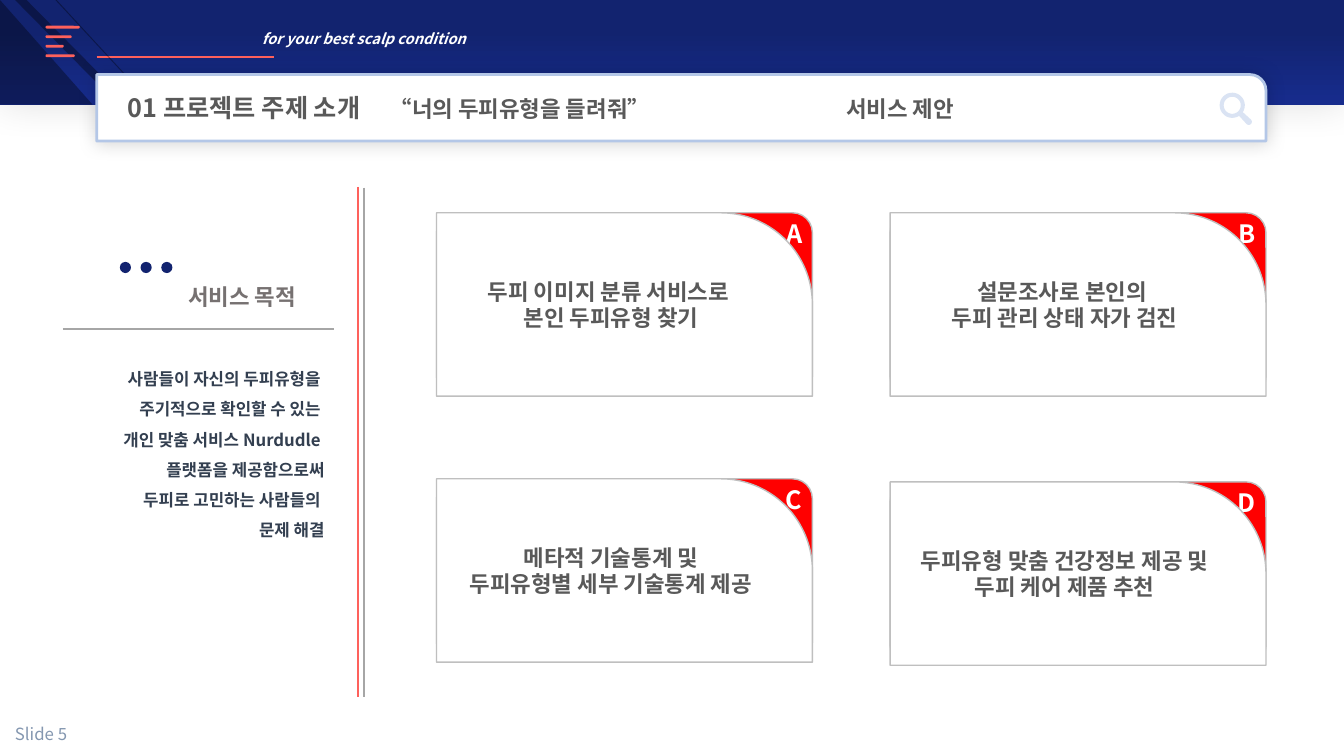
from math import cos, radians, sin

from lxml import etree
from pptx import Presentation
from pptx.dml.color import RGBColor
from pptx.enum import shapes, text
from pptx.oxml import ns
from pptx.util import Pt

FONT = "Noto Sans CJK KR"
WHITE = RGBColor(0xFF, 0xFF, 0xFF)
BLACK = RGBColor(0, 0, 0)
NAVY = RGBColor(0x12, 0x23, 0x6F)
BLUE = RGBColor(0x17, 0x2C, 0x8D)
CORAL = RGBColor(0xFE, 0x61, 0x5C)
RED = RGBColor(0xFF, 0, 0)
SKY = RGBColor(0xB4, 0xC7, 0xE7)
PALE = RGBColor(0xDA, 0xE3, 0xF3)
SILVER = RGBColor(0xBF, 0xBF, 0xBF)
GRAY = RGBColor(0xA6, 0xA6, 0xA6)
DARK = RGBColor(0x59, 0x59, 0x59)
TAUPE = RGBColor(0x76, 0x71, 0x71)
SLATE = RGBColor(0x33, 0x3F, 0x50)
STEEL = RGBColor(0x84, 0x97, 0xB0)

KIND = shapes.MSO_SHAPE
ALIGN = text.PP_ALIGN
MIDDLE = text.MSO_ANCHOR.MIDDLE

CARDS = [
    ("A", 311.8, 152, ["두피 이미지 분류 서비스로 ", "본인 두피유형 찾기"]),
    ("B", 635.8, 152, ["설문조사로 본인의 ", "두피 관리 상태 자가 검진"]),
    ("D", 635.8, 344.2, ["두피유형 맞춤 건강정보 제공 및", "두피 케어 제품 추천"]),
    ("C", 311.8, 342, ["메타적 기술통계 및", "두피유형별 세부 기술통계 제공"]),
]
GOAL = ["사람들이 자신의 두피유형을 ", "주기적으로 확인할 수 있는 ",
        "개인 맞춤 서비스 Nurdudle ", "플랫폼을 제공함으로써",
        "두피로 고민하는 사람들의 ", "문제 해결"]


def apply(item, values):
    for key, value in values.items():
        setattr(item, key, value)


def node(parent, tag, **attrs):
    return etree.SubElement(parent, ns.qn(tag), attrs)


def paint(shape, fill, line=None, width=1, alpha=None):
    shape.shadow.inherit = False
    if fill:
        shape.fill.solid()
        shape.fill.fore_color.rgb = fill
    if alpha:
        color = shape.element.spPr.find(".//" + ns.qn("a:srgbClr"))
        node(color, "a:alpha", val=str(alpha * 1000))
    if line:
        shape.line.color.rgb = line
        shape.line.width = Pt(width)
    else:
        shape.line.fill.background()


def block(slide, kind, box, fill, adj=None, **look):
    shape = slide.shapes.add_shape(kind, *map(Pt, box))
    if adj is not None:
        shape.adjustments[0] = adj
    paint(shape, fill, **look)
    return shape


def glow(shape, alpha, blur, dist=0, angle=0):
    """Add an outer black shadow; blur and dist are in points."""
    effects = shape.element.spPr.find(ns.qn("a:effectLst"))
    outer = node(effects, "a:outerShdw", blurRad=str(Pt(blur)), dist=str(Pt(dist)),
                 dir=str(angle * 60000), algn="ctr", rotWithShape="0")
    color = node(outer, "a:srgbClr", val="000000")
    node(color, "a:alpha", val=str(alpha * 1000))


def style(run, size, color, bold=True, italic=None):
    apply(run.font, dict(name=FONT, size=Pt(size), bold=bold, italic=italic))
    run.font.color.rgb = color
    node(run.font._element, "a:ea", typeface=FONT)


def write(shape, lines, size, color, align=ALIGN.LEFT, space=None, frame=None, **face):
    body = shape.text_frame
    apply(body, {"word_wrap": True, **(frame or {})})
    for i, words in enumerate(lines):
        para = body.add_paragraph() if i else body.paragraphs[0]
        apply(para, dict(alignment=align, line_spacing=space))
        run = para.add_run()
        run.text = words
        style(run, size, color, **face)


def label(slide, box, lines, size, color, **rest):
    write(slide.shapes.add_textbox(*map(Pt, box)), lines, size, color, **rest)


def rule(slide, x1, y1, x2, y2, color, width):
    line = slide.shapes.add_connector(shapes.MSO_CONNECTOR.STRAIGHT, *map(Pt, (x1, y1, x2, y2)))
    line.line.color.rgb = color
    line.line.width = Pt(width)
    node(line.element.spPr, "a:effectLst")


def card(slide, letter, x, y, lines):
    box = (x, y, 268.5, 131)
    back = block(slide, KIND.ROUNDED_RECTANGLE, box, RED, 0.108, line=SILVER)
    write(back, [letter], 18, WHITE, ALIGN.RIGHT, frame=dict(
        vertical_anchor=text.MSO_ANCHOR.TOP, margin_left=0, margin_top=0,
        margin_right=Pt(3), margin_bottom=Pt(3.6)))
    front = block(slide, KIND.ROUND_1_RECTANGLE, box, WHITE, 0.5, line=SILVER)
    write(front, lines, 16, DARK, ALIGN.CENTER, frame=dict(vertical_anchor=MIDDLE))


def band(slide):
    bar = block(slide, KIND.RECTANGLE, (0, 0, 960, 74.8), None)
    bar.fill.gradient()
    bar.fill.gradient_angle = 270
    for stop, color, place in zip(bar.fill.gradient_stops, (NAVY, BLUE), (0.3, 1)):
        stop.color.rgb = color
        stop.position = place
    glow(bar, 15, 30, 3, 270)
    write(bar, ["for your best scalp condition"], 10.5, WHITE, italic=True, frame=dict(
        vertical_anchor=text.MSO_ANCHOR.TOP, margin_left=Pt(187), margin_top=Pt(21.5)))
    rule(slide, 69.1, 40.8, 195.8, 40.8, CORAL, 1)
    block(slide, KIND.RIGHT_TRIANGLE, (0, 0, 66.2, 74.8), BLACK, alpha=35)
    for x, width in ((10.8, 82), (39.6, 70)):
        beam = block(slide, KIND.PARALLELOGRAM, (x, 0, width, 74.8), BLACK, 0.987, alpha=35)
        beam.element.spPr.xfrm.set("flipH", "1")


def title(slide):
    bar = block(slide, KIND.ROUND_1_RECTANGLE, (69.1, 53.3, 835.2, 47.5), WHITE, 0.241,
                line=SKY, width=2)
    glow(bar, 17, 13)
    apply(bar.text_frame, dict(word_wrap=True, vertical_anchor=MIDDLE, margin_left=Pt(22.3)))
    para = bar.text_frame.paragraphs[0]
    para.alignment = ALIGN.LEFT
    tabs = node(para._p.get_or_add_pPr(), "a:tabLst")
    for place in (187, 513):
        node(tabs, "a:tab", pos=str(Pt(place)), algn="l")
    for words, size in (("01 프로젝트 주제 소개", 18), ("\t“너의 두피유형을 들려줘”\t서비스 제안", 16)):
        run = para.add_run()
        run.text = words
        style(run, size, DARK)


def arc(x, y, radius, start, end):
    return [(Pt(x + radius * cos(radians(a))), Pt(y + radius * sin(radians(a))))
            for a in range(start, end + 1, 12)]


def lens(slide):
    x, y = 880.2, 75.2
    rim = arc(x, y, 9, 57, 393) + arc(x + 11.8, y + 11.8, 2.2, -45, 135)
    hole = arc(x, y, 6.1, 0, 348)
    form = slide.shapes.build_freeform(*rim[0])
    form.add_line_segments(rim[1:])
    form.move_to(*hole[0])
    form.add_line_segments(hole[1:])
    paint(form.convert_to_shape(), PALE)


def main():
    deck = Presentation()
    apply(deck, dict(slide_width=Pt(960), slide_height=Pt(540)))
    slide = deck.slides.add_slide(deck.slide_layouts[6])
    for item in CARDS:
        card(slide, *item)
    band(slide)
    title(slide)
    for i, width in enumerate((24.5, 18.7, 13, 20.9)):
        block(slide, KIND.ROUNDED_RECTANGLE, (32.5, 18.4 + 6.8 * i, width, 2), CORAL, 0.5)
    label(slide, (-29.5, 252.7, 268.5, 157), GOAL, 12, SLATE, align=ALIGN.RIGHT, space=1.5)
    rule(slide, 255.6, 133.4, 255.6, 497.6, CORAL, 1.5)
    rule(slide, 260, 134, 260, 498.2, GRAY, 1.5)
    for i in range(3):
        block(slide, KIND.OVAL, (85.6 + 14.8 * i, 187.1, 8, 8), NAVY)
    label(slide, (127.4, 198.7, 100.8, 26.6), ["서비스 목적"], 16, TAUPE,
          frame=dict(word_wrap=False))
    rule(slide, 44.9, 234.8, 238.5, 234.8, GRAY, 1.5)
    lens(slide)
    label(slide, (3.6, 514.8, 82.8, 18), ["Slide 5"], 12, STEEL, bold=False,
          frame=dict(vertical_anchor=MIDDLE))
    deck.save("out.pptx")


if __name__ == "__main__":
    main()
